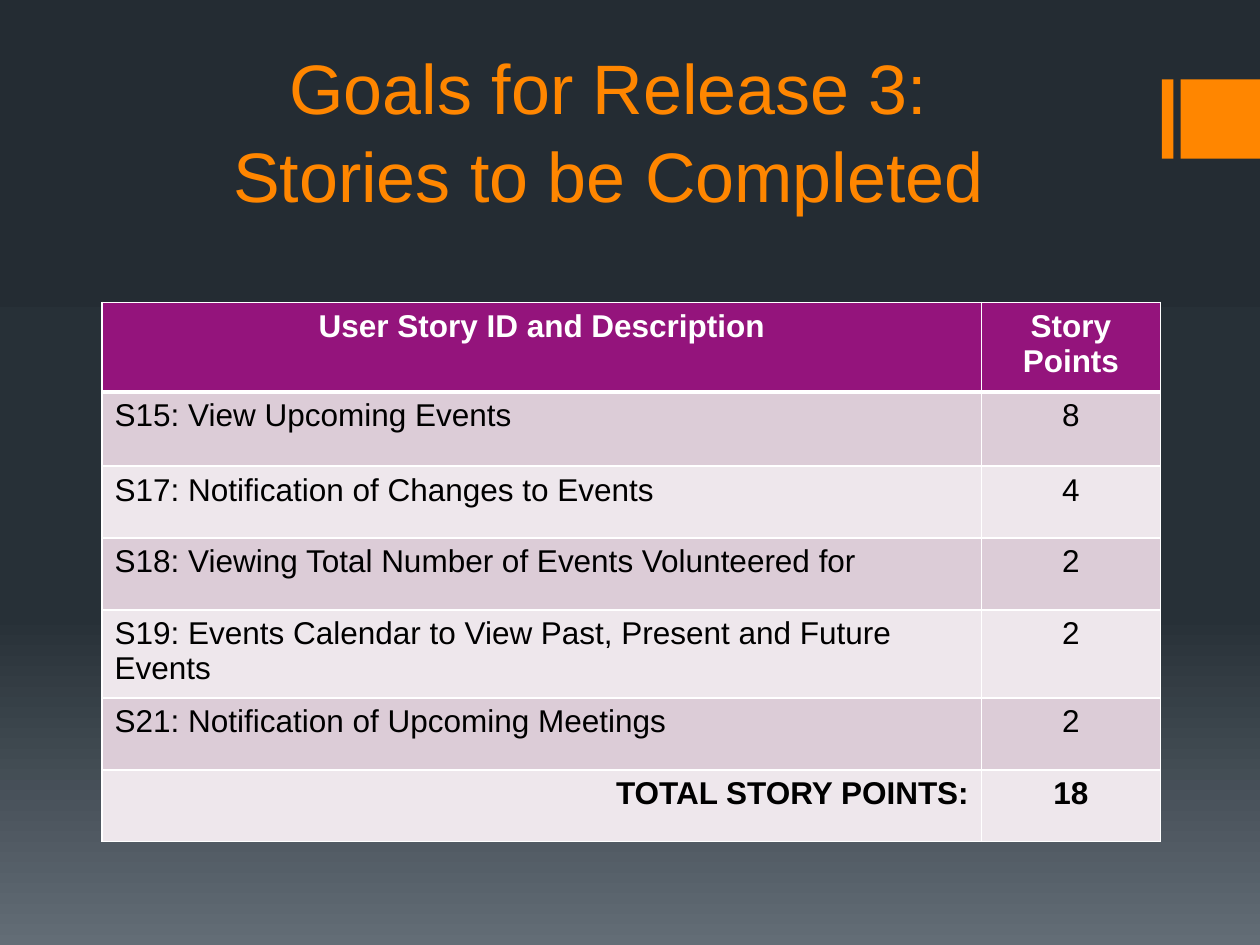
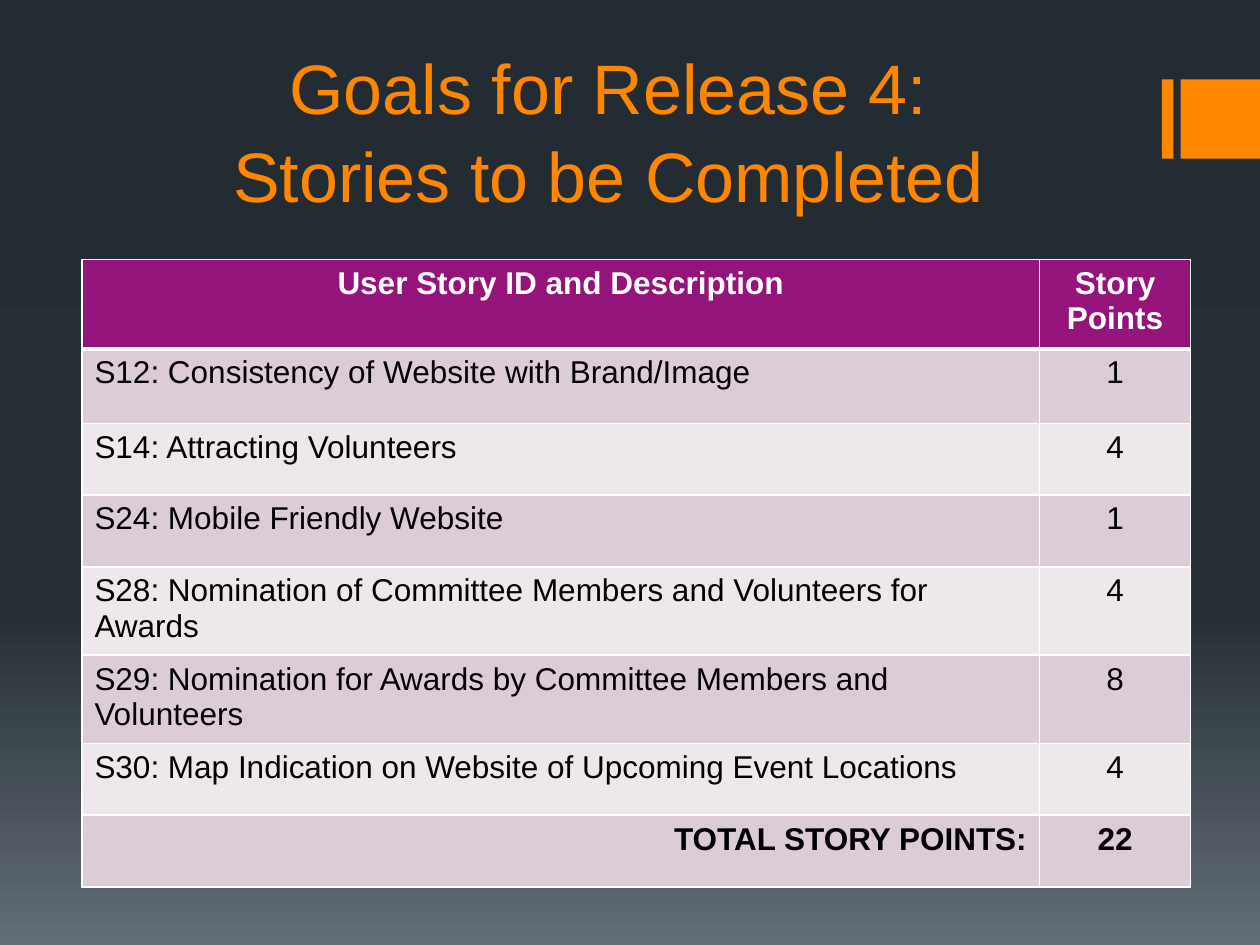
import copy

import pptx
import pptx.dml.color
import pptx.enum.shapes
import pptx.enum.text
import pptx.oxml
import pptx.oxml.ns
import pptx.util

Pt = pptx.util.Pt
ALIGN = pptx.enum.text.PP_ALIGN

COLORS = {
    "accent": "FF8600",
    "header": "94147C",
    "odd_row": "DCCCD7",
    "even_row": "EEE7EC",
    "white": "FFFFFF",
    "black": "000000",
}
BACKGROUND_STOPS = [(0, "242C33"), (0.65, "273037"), (1, "636D76")]
FONT = "Arial"

# Boxes are left, top, width, height in points
ACCENT_BOX = (664, 45.36, 56, 45.36)
TITLE_BOX = (58.32, 20.16, 589.68, 107.28)
HEADER_HEIGHT, FIRST_HEIGHT, ROW_HEIGHT = 51.12, 42.5, 41.04

RELEASES = [
    {
        "number": 3,
        "position": (58.32, 172.8),
        "columns": (502.56, 102.24),
        "stories": [
            ("S15: View Upcoming Events", 8),
            ("S17: Notification of Changes to Events", 4),
            ("S18: Viewing Total Number of Events Volunteered for", 2),
            ("S19: Events Calendar to View Past, Present and Future Events", 2),
            ("S21: Notification of Upcoming Meetings", 2),
        ],
    },
    {
        "number": 4,
        "position": (46.8, 148.32),
        "columns": (547.2, 86.4),
        "stories": [
            ("S12: Consistency of Website with Brand/Image", 1),
            ("S14: Attracting Volunteers", 4),
            ("S24: Mobile Friendly Website", 1),
            ("S28: Nomination of Committee Members and Volunteers for Awards", 4),
            ("S29: Nomination for Awards by Committee Members and Volunteers", 8),
            ("S30: Map Indication on Website of Upcoming Event Locations", 4),
        ],
    },
]


def rgb(name):
    return pptx.dml.color.RGBColor.from_string(COLORS[name])


def add_run(paragraph, text, size, color, bold=False):
    run = paragraph.add_run()
    run.text = text
    run.font.name = FONT
    run.font.size = Pt(size)
    run.font.bold = bold
    run.font.color.rgb = rgb(color)


def paint_background(slide):
    fill = slide.background.fill
    fill.gradient()
    fill.gradient_angle = 270  # counter-clockwise, so top to bottom
    stop_list = slide.element.find(".//" + pptx.oxml.ns.qn("a:gsLst"))
    stop_list.append(copy.deepcopy(stop_list[-1]))
    for stop, (position, color) in zip(fill.gradient_stops, BACKGROUND_STOPS):
        stop.position = position
        stop.color.rgb = pptx.dml.color.RGBColor.from_string(color)


def add_accent(slide, box):
    """A thin bar and a square that touches the slide's right edge."""
    left, top, width, height = box
    for bar_left, bar_width in ((left, 6.5), (left + width - height, height)):
        bar = slide.shapes.add_shape(
            pptx.enum.shapes.MSO_SHAPE.RECTANGLE,
            Pt(bar_left), Pt(top), Pt(bar_width), Pt(height))
        bar.shadow.inherit = False
        bar.fill.solid()
        bar.fill.fore_color.rgb = rgb("accent")
        bar.line.fill.background()


def add_title(slide, box, number):
    frame = slide.shapes.add_textbox(*map(Pt, box)).text_frame
    frame.word_wrap = True
    frame.vertical_anchor = pptx.enum.text.MSO_ANCHOR.BOTTOM
    paragraph = frame.paragraphs[0]
    paragraph.alignment = ALIGN.CENTER
    paragraph.line_spacing = 1.05
    add_run(paragraph, f"Goals for Release {number}: ", 40, "accent")
    paragraph.add_line_break()
    add_run(paragraph, "Stories to be Completed ", 40, "accent")


def set_borders(cell, top=1, bottom=1):
    properties = cell._tc.get_or_add_tcPr()
    for side, width in (("L", 1), ("R", 1), ("T", top), ("B", bottom)):
        properties.append(pptx.oxml.parse_xml(
            f'<a:ln{side} {pptx.oxml.ns.nsdecls("a")} w="{Pt(width)}">'
            f'<a:solidFill><a:srgbClr val="{COLORS["white"]}"/></a:solidFill>'
            f'</a:ln{side}>'))


def add_story_table(slide, position, columns, stories):
    total = sum(points for _, points in stories)
    rows = [("User Story ID and Description", "Story Points"), *stories,
            ("TOTAL STORY POINTS:", total)]
    last = len(rows) - 1
    heights = [HEADER_HEIGHT, FIRST_HEIGHT] + [ROW_HEIGHT] * (last - 1)
    table = slide.shapes.add_table(
        len(rows), len(columns), *map(Pt, position),
        Pt(sum(columns)), Pt(sum(heights))).table
    for column, width in zip(table.columns, columns):
        column.width = Pt(width)

    for row_index, values in enumerate(rows):
        table.rows[row_index].height = Pt(heights[row_index])
        is_header = row_index == 0
        fill = "header" if is_header else "odd_row" if row_index % 2 else "even_row"
        description_align = {0: ALIGN.CENTER, last: ALIGN.RIGHT}.get(row_index, ALIGN.LEFT)
        for column_index, value in enumerate(values):
            cell = table.cell(row_index, column_index)
            # A thick rule parts the header from the stories
            set_borders(cell, top=3 if row_index == 1 else 1, bottom=3 if is_header else 1)
            cell.fill.solid()
            cell.fill.fore_color.rgb = rgb(fill)
            paragraph = cell.text_frame.paragraphs[0]
            paragraph.alignment = ALIGN.CENTER if column_index else description_align
            add_run(paragraph, str(value), 18, "white" if is_header else "black",
                    bold=row_index in (0, last))


def add_release_slide(presentation, release):
    slide = presentation.slides.add_slide(presentation.slide_layouts[6])
    paint_background(slide)
    add_accent(slide, ACCENT_BOX)
    add_title(slide, TITLE_BOX, release["number"])
    add_story_table(slide, release["position"], release["columns"], release["stories"])


def main():
    presentation = pptx.Presentation()
    presentation.slide_width = Pt(720)
    presentation.slide_height = Pt(540)
    for release in RELEASES:
        add_release_slide(presentation, release)
    presentation.save("out.pptx")


if __name__ == "__main__":
    main()
